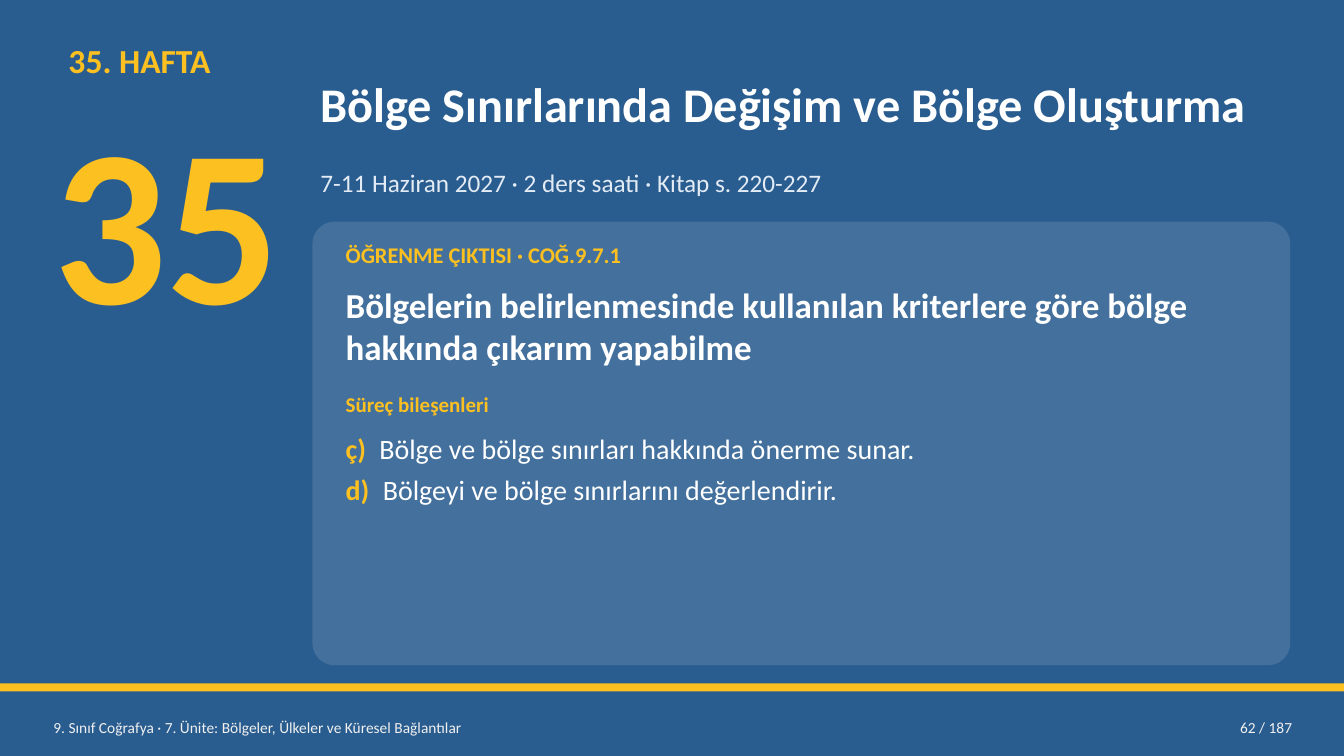
from lxml import etree
from pptx import Presentation
from pptx.dml.color import RGBColor
from pptx.enum import shapes, text
from pptx.oxml import ns
from pptx.util import Pt

BLUE = RGBColor(0x2A, 0x5D, 0x8F)
GOLD = RGBColor(0xFC, 0xC0, 0x21)
WHITE = RGBColor(0xFF, 0xFF, 0xFF)
PALE = RGBColor(0xE3, 0xEC, 0xF5)
GREY = RGBColor(0xF0, 0xF0, 0xF0)

WIDE, HIGH = 960, 540
LEFT, SPAN = 223.2, 698.4      # title column and card
INNER, ROOM = 241.2, 662.4     # text inside the card
FOOT = 506.88

STEPS = [
    ("ç)", "Bölge ve bölge sınırları hakkında önerme sunar.", 24),
    ("d)", "Bölgeyi ve bölge sınırlarını değerlendirir.", 26.5),
]


def place(*box):
    return [Pt(n) for n in box]


def add_block(slide, kind, box, color, alpha=None):
    """Add a filled shape without outline; alpha is opacity in percent."""
    block = slide.shapes.add_shape(kind, *place(*box))
    block.shadow.inherit = False
    block.fill.solid()
    block.fill.fore_color.rgb = color
    block.line.fill.background()
    if alpha is not None:
        tint = block.fill._xPr.find(".//" + ns.qn("a:srgbClr"))
        etree.SubElement(tint, ns.qn("a:alpha"), val=str(alpha * 1000))
    return block


def style(run, size, color, bold=False):
    font = run.font
    font.name = "Calibri"
    font.size = Pt(size)
    font.bold = bold
    font.color.rgb = color


def add_frame(slide, box, pad=3):
    frame = slide.shapes.add_textbox(*place(*box)).text_frame
    frame.word_wrap = True
    frame.margin_left = frame.margin_right = Pt(5.76)
    frame.margin_top = frame.margin_bottom = Pt(pad)
    return frame


def add_label(slide, box, words, size, color, bold=False, mid=False, pad=3):
    frame = add_frame(slide, box, pad)
    frame.text = words
    if mid:
        frame.vertical_anchor = text.MSO_ANCHOR.MIDDLE
    para = frame.paragraphs[0]
    style(para.runs[0], size, color, bold)
    return para


def add_steps(slide, box):
    """List the steps, each with a gold letter and a hanging indent."""
    frame = add_frame(slide, box)
    for i, (mark, words, indent) in enumerate(STEPS):
        para = frame.add_paragraph() if i else frame.paragraphs[0]
        para.space_after = Pt(5)
        props = para._p.get_or_add_pPr()
        props.set("marL", str(Pt(indent)))
        props.set("indent", str(-Pt(indent)))
        tabs = etree.SubElement(props, ns.qn("a:tabLst"))
        etree.SubElement(tabs, ns.qn("a:tab"), pos="0", algn="l")
        for part, color, bold in ((mark + "\t", GOLD, True),
                                  (words, WHITE, False)):
            run = para.add_run()
            run.text = part
            style(run, 20, color, bold)


def main():
    deck = Presentation()
    deck.slide_width, deck.slide_height = place(WIDE, HIGH)
    slide = deck.slides.add_slide(deck.slide_layouts[6])
    kind = shapes.MSO_SHAPE

    add_block(slide, kind.RECTANGLE, (0, 0, WIDE, HIGH), BLUE)
    add_block(slide, kind.RECTANGLE, (0, 488.16, WIDE, 5.76), GOLD)

    add_label(slide, (43.2, 25.2, 187.2, 39.6), "35. HAFTA", 24, GOLD, True)
    add_label(slide, (32.4, 57.6, 187.2, 198), "35", 160, GOLD, True, pad=0)
    add_label(slide, (LEFT, 32.4, SPAN, 82.8),
              "Bölge Sınırlarında Değişim ve Bölge Oluşturma",
              34.5, WHITE, True, mid=True)
    add_label(slide, (LEFT, 116.64, SPAN, 32.4),
              "7-11 Haziran 2027 · 2 ders saati · Kitap s. 220-227", 18, PALE)

    card = add_block(slide, kind.ROUNDED_RECTANGLE,
                     (LEFT, 158.4, SPAN, 316.8), WHITE, 12)
    card.adjustments[0] = 0.05
    add_label(slide, (INNER, 169.2, ROOM, 28.8),
              "ÖĞRENME ÇIKTISI · COĞ.9.7.1", 16, GOLD, True)
    add_label(slide, (INNER, 199.44, ROOM, 68.4),
              "Bölgelerin belirlenmesinde kullanılan kriterlere göre bölge "
              "hakkında çıkarım yapabilme", 25, WHITE, True)
    add_label(slide, (INNER, 276.48, ROOM, 27.36),
              "Süreç bileşenleri", 15, GOLD, True)
    add_steps(slide, (INNER, 305.28, ROOM, 160.56))

    add_label(slide, (32.4, FOOT, 547.2, 25.92),
              "9. Sınıf Coğrafya · 7. Ünite: Bölgeler, Ülkeler ve Küresel "
              "Bağlantılar", 11, GREY, mid=True)
    page = add_label(slide, (813.6, FOOT, 115.2, 25.92), "62 / 187",
                     11, GREY, mid=True)
    page.alignment = text.PP_ALIGN.RIGHT

    deck.save("out.pptx")


if __name__ == "__main__":
    main()
